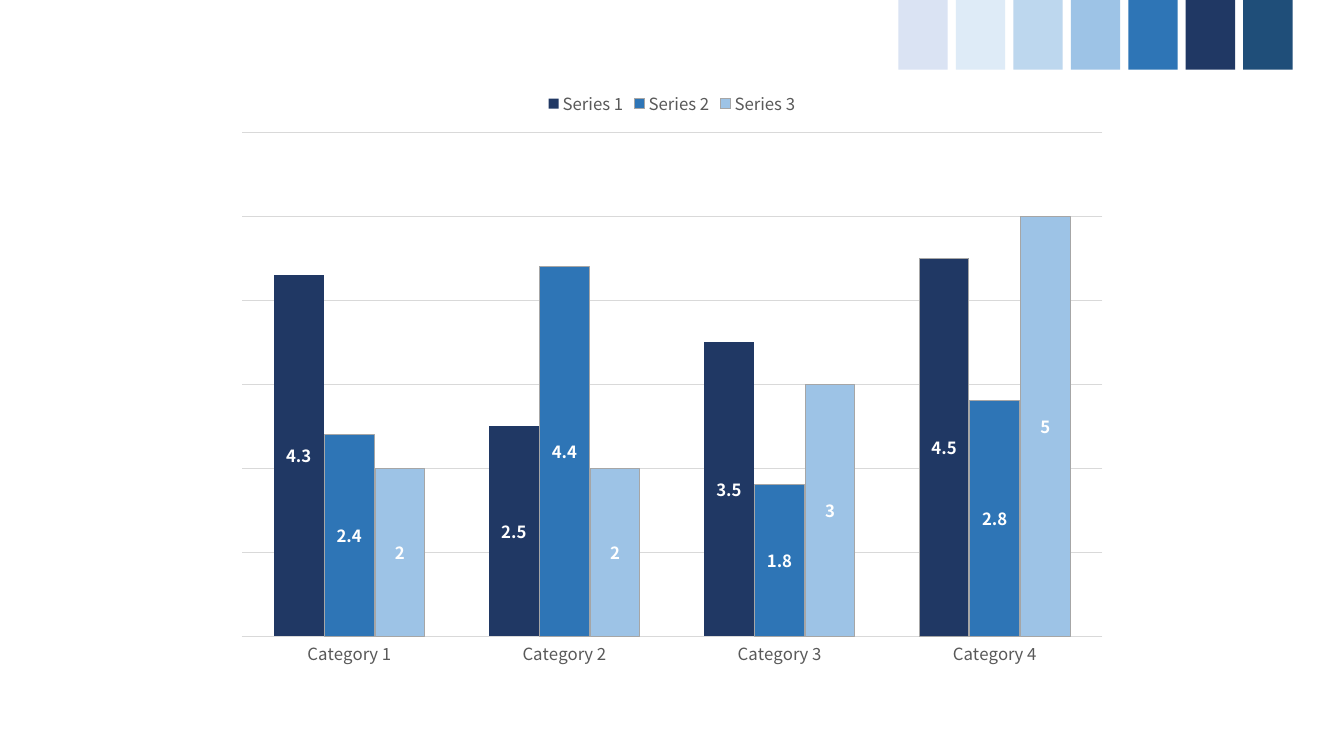
from pptx import Presentation
from pptx.chart.data import CategoryChartData as ChartData
from pptx.dml.color import RGBColor
from pptx.enum.chart import XL_CHART_TYPE as ChartType
from pptx.enum.chart import XL_LABEL_POSITION as LabelPosition
from pptx.enum.chart import XL_LEGEND_POSITION as LegendPosition
from pptx.enum.chart import XL_TICK_LABEL_POSITION as TickLabels
from pptx.enum.chart import XL_TICK_MARK as TickMark
from pptx.enum.shapes import MSO_SHAPE as Shape
from pptx.util import Inches, Pt

FONT = "Noto Sans CJK KR"
GRAY, GRID, OUTLINE, WHITE = "595959", "D9D9D9", "A6A6A6", "FFFFFF"
SWATCHES = ["DAE3F3", "DEEBF7", "BDD7EE", "9DC3E6", "2E75B6", "203864", "1F4E79"]
CATEGORIES = ["Category 1", "Category 2", "Category 3", "Category 4"]
SERIES = [
    ("Series 1", [4.3, 2.5, 3.5, 4.5], "203864"),
    ("Series 2", [2.4, 4.4, 1.8, 2.8], "2E75B6"),
    ("Series 3", [2, 2, 3, 5], "9DC3E6"),
]


def rgb(value):
    """Turn a hex string into a colour."""
    return RGBColor.from_string(value)


def format_text(target, size=12, color=GRAY, bold=False):
    """Set the font of a chart text element."""
    font = target.font
    font.name, font.size, font.bold = FONT, Pt(size), bold
    font.color.rgb = rgb(color)


def paint_fill(target, color):
    """Give a shape or chart element a solid fill."""
    target.fill.solid()
    target.fill.fore_color.rgb = rgb(color)


def draw_line(line, color):
    """Give a line its colour and the common width."""
    line.color.rgb = rgb(color)
    line.width = Pt(0.75)


def add_swatches(page, left, top, width, height, pitch):
    """Place the row of palette swatches at equal steps."""
    for index, color in enumerate(SWATCHES):
        swatch = page.shapes.add_shape(
            Shape.RECTANGLE, Inches(left + index * pitch), Inches(top),
            Inches(width), Inches(height))
        swatch.shadow.inherit = False
        paint_fill(swatch, color)
        swatch.line.fill.background()


def style_axes(chart):
    """Show category names and gridlines, and hide the value labels."""
    for axis in (chart.category_axis, chart.value_axis):
        axis.major_tick_mark = axis.minor_tick_mark = TickMark.NONE
        format_text(axis.tick_labels)
    chart.category_axis.has_major_gridlines = False
    draw_line(chart.category_axis.format.line, GRID)
    values = chart.value_axis
    values.minimum_scale, values.maximum_scale, values.major_unit = 0, 6, 1
    values.tick_label_position = TickLabels.NONE
    values.format.line.fill.background()
    values.has_major_gridlines = True
    draw_line(values.major_gridlines.format.line, GRID)


def style_series(series, color, outlined):
    """Colour one series and label its columns with their values."""
    series.invert_if_negative = False
    paint_fill(series.format, color)
    if outlined:
        draw_line(series.format.line, OUTLINE)
    else:
        series.format.line.fill.background()
    labels = series.data_labels
    labels.show_value = True
    labels.position = LabelPosition.CENTER
    format_text(labels, color=WHITE, bold=True)


def add_column_chart(page, left, top, width, height):
    """Place the clustered column chart in its box."""
    data = ChartData()
    data.categories = CATEGORIES
    for name, values, _ in SERIES:
        data.add_series(name, values)
    chart = page.shapes.add_chart(
        ChartType.COLUMN_CLUSTERED, Inches(left), Inches(top),
        Inches(width), Inches(height), data).chart
    chart.has_title = False
    format_text(chart, size=10, color="000000")
    chart.has_legend = True
    chart.legend.position = LegendPosition.TOP
    chart.legend.include_in_layout = False
    format_text(chart.legend)
    style_axes(chart)
    plot = chart.plots[0]
    plot.gap_width, plot.overlap, plot.vary_by_categories = 130, -2, False
    for index, (series, (_, _, color)) in enumerate(zip(plot.series, SERIES)):
        style_series(series, color, outlined=index > 0)
    last_column = plot.series[0].points[len(CATEGORIES) - 1].format
    paint_fill(last_column, SERIES[0][2])
    draw_line(last_column.line, OUTLINE)


def build_deck():
    """Build the one-page deck and save it."""
    deck = Presentation()
    deck.slide_width, deck.slide_height = Inches(13.33), Inches(7.5)
    page = deck.slides.add_slide(deck.slide_layouts[6])
    add_column_chart(page, 2.22, 0.79, 8.89, 5.93)
    add_swatches(page, 8.91, 0, 0.49, 0.69, pitch=0.57)
    deck.save("out.pptx")


build_deck()
